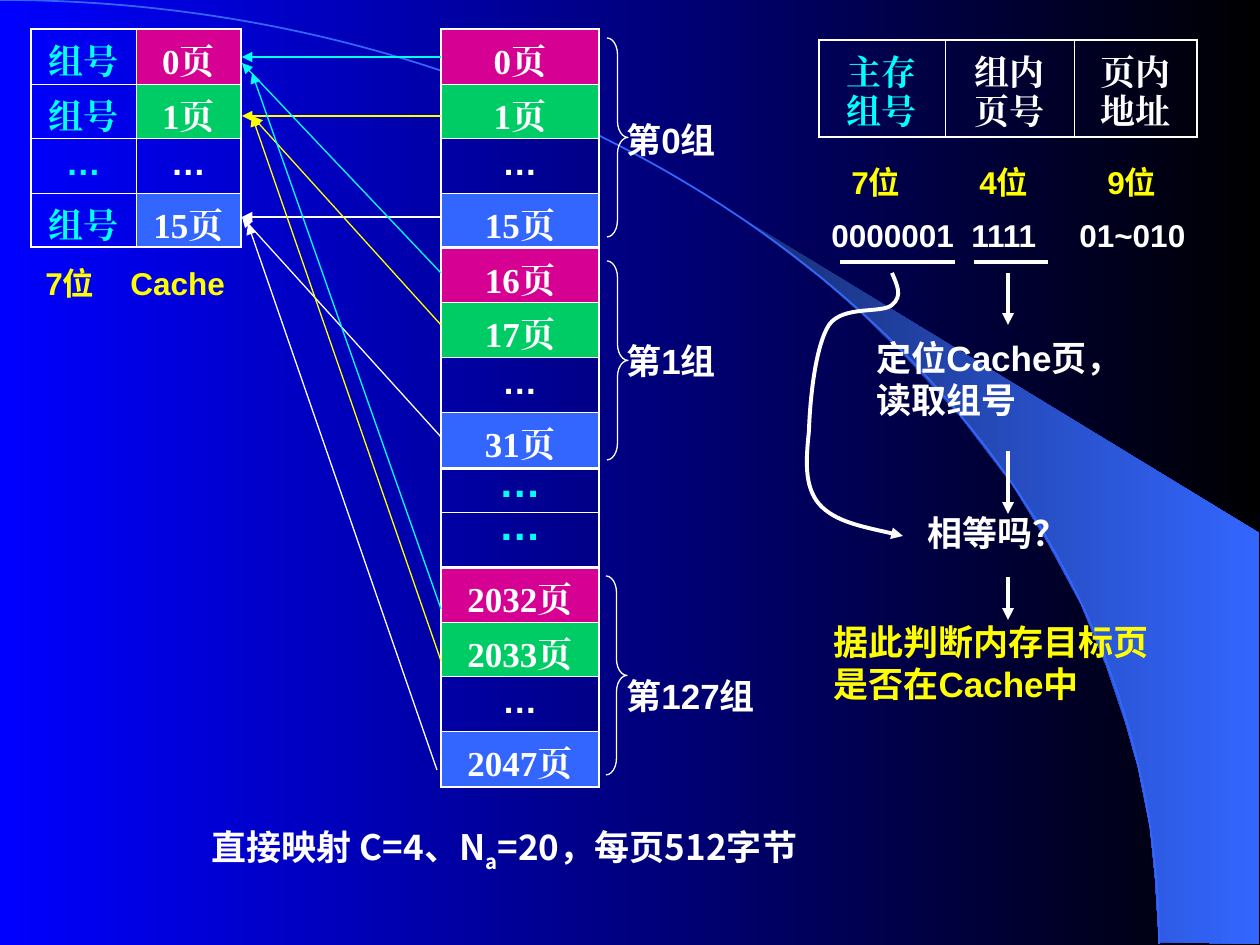
from dataclasses import dataclass

import lxml.etree
import pptx
import pptx.dml.color
import pptx.enum.shapes
import pptx.enum.text
import pptx.oxml.ns
import pptx.util

SCALE = 914400 / 126
ALIGN = pptx.enum.text.PP_ALIGN
WHITE, CYAN, YELLOW = "FFFFFF", "00FFFF", "FFFF00"
MAGENTA, GREEN, BLUE = "D60093", "00CC66", "3366FF"
SERIF, SANS, CJK = "Times New Roman", "Arial", "Noto Sans CJK SC"
THIN, OUTER, BOLD_LINE = 0.45, 1.08, 2.25


@dataclass
class Entry:
    """One table cell."""
    text: str
    color: str = WHITE
    fill: str | None = None
    font: str = SERIF
    inset: int = 14
    size: int = 20
    spacing: float = 1.0


@dataclass
class Label:
    text: str
    box: tuple[int, int, int, int]
    size: int = 20
    color: str = WHITE
    wrap: bool = True
    tabs: tuple[int, ...] = ()


@dataclass
class Link:
    start: tuple[int, int]
    end: tuple[int, int]
    color: str = WHITE
    width: float = 0.75
    arrow: bool = True


def px(length: float) -> int:
    return round(length * SCALE)


def rgb(color: str) -> pptx.dml.color.RGBColor:
    return pptx.dml.color.RGBColor.from_string(color)


def add_xml(parent, tag: str, **attributes: str):
    return lxml.etree.SubElement(parent, pptx.oxml.ns.qn(tag), attributes)


def write(frame, *pieces: str, size: int = 20, color: str = WHITE, font: str = SANS,
          align=ALIGN.LEFT, spacing: float = 1.0, tabs: tuple[int, ...] = ()) -> None:
    """Write one paragraph; every second piece is a subscript."""
    paragraph = frame.paragraphs[0]
    paragraph.alignment = align
    paragraph.line_spacing = spacing
    if tabs:
        stops = add_xml(paragraph._p.get_or_add_pPr(), "a:tabLst")
        for stop in tabs:
            add_xml(stops, "a:tab", pos=str(px(stop)), algn="l")
    for index, piece in enumerate(pieces):
        run = paragraph.add_run()
        run.text = piece
        run.font.size = pptx.util.Pt(size)
        run.font.bold = True
        run.font.color.rgb = rgb(color)
        run.font.name = font
        properties = run.font._element
        add_xml(properties, "a:ea", typeface=font)
        if index % 2:
            properties.set("baseline", "-25000")


def style_line(line, color: str, width: float, arrow: bool = False) -> None:
    line.color.rgb = rgb(color)
    line.width = pptx.util.Pt(width)
    if arrow:
        add_xml(line._get_or_add_ln(), "a:tailEnd", type="triangle")


def add_link(shapes, link: Link) -> None:
    connector = shapes.add_connector(pptx.enum.shapes.MSO_CONNECTOR.STRAIGHT,
                                     *map(px, link.start + link.end))
    style_line(connector.line, link.color, link.width, link.arrow)
    add_xml(connector._element.spPr, "a:effectLst")


def add_label(shapes, label: Label) -> None:
    frame = shapes.add_textbox(*map(px, label.box)).text_frame
    frame.word_wrap = label.wrap
    write(frame, label.text, size=label.size, color=label.color, tabs=label.tabs)


def add_outline(shapes, points: list[tuple[int, int]], closed: bool = False):
    builder = shapes.build_freeform(*points[0], scale=SCALE)
    builder.add_line_segments(points[1:], close=closed)
    shape = builder.convert_to_shape()
    shape.shadow.inherit = False
    return shape


def add_curve(shapes, points: list[tuple[int, int]], color: str, width: float,
              arrow: bool = False) -> None:
    """Draw cubic curves: a start point, then three points for each curve."""
    shape = add_outline(shapes, points)
    shape.fill.background()
    style_line(shape.line, color, width, arrow)
    segments = shape._element.findall(".//" + pptx.oxml.ns.qn("a:lnTo"))
    outline = segments[0].getparent()
    for first in range(0, len(segments), 3):
        curve = add_xml(outline, "a:cubicBezTo")
        for segment in segments[first:first + 3]:
            curve.append(segment[0])
            outline.remove(segment)


def add_gradient(fill, start: str, end: str) -> None:
    fill.gradient()
    fill.gradient_angle = 0
    for stop, color, position in zip(fill.gradient_stops, (start, end), (0, 1)):
        stop.color.rgb = rgb(color)
        stop.position = position


def set_borders(cell, edges: dict[str, bool]) -> None:
    properties = cell._tc.get_or_add_tcPr()
    for index, (side, is_outer) in enumerate(edges.items()):
        width = pptx.util.Pt(OUTER if is_outer else THIN)
        border = add_xml(properties, f"a:ln{side}", w=str(int(width)))
        add_xml(add_xml(border, "a:solidFill"), "a:srgbClr", val=WHITE)
        properties.insert(index, border)


def add_grid(shapes, left: int, top: int, widths: list[int], heights: list[int],
             entries: list[list[Entry]]) -> None:
    table = shapes.add_table(len(heights), len(widths), px(left), px(top),
                             px(sum(widths)), px(sum(heights))).table
    table.first_row = table.horz_banding = False
    for column, width in zip(table.columns, widths):
        column.width = px(width)
    for r, (height, line) in enumerate(zip(heights, entries)):
        table.rows[r].height = px(height)
        for c, entry in enumerate(line):
            cell = table.cell(r, c)
            cell.margin_top, cell.margin_bottom = px(entry.inset), 0
            write(cell.text_frame, entry.text, size=entry.size, color=entry.color,
                  font=entry.font, align=ALIGN.CENTER, spacing=entry.spacing)
            if entry.fill:
                cell.fill.solid()
                cell.fill.fore_color.rgb = rgb(entry.fill)
            else:
                cell.fill.background()
            set_borders(cell, {"L": c == 0, "R": c == len(widths) - 1,
                               "T": r == 0, "B": r == len(heights) - 1})


def page_entries(first: int, second: int, last: int) -> list[Entry]:
    return [Entry(f"{first}页", fill=MAGENTA), Entry(f"{second}页", fill=GREEN),
            Entry("…", font=SANS, inset=6), Entry(f"{last}页", fill=BLUE)]


def add_backdrop(slide) -> None:
    add_gradient(slide.background.fill, "0000FF", "000000")
    beam = add_outline(slide.shapes, [
        (1159, 942), (1259, 944), (1259, 533), (742, 218), (786, 251), (823, 280),
        (863, 315), (902, 353), (960, 416), (1012, 484), (1048, 543), (1081, 604),
        (1106, 665), (1125, 721), (1138, 767), (1150, 827), (1155, 877)], closed=True)
    add_gradient(beam.fill, "182F76", BLUE)
    beam.line.fill.background()
    add_curve(slide.shapes, [(0, 0), (640, 0), (1159, 422), (1159, 944)], BLUE, 1)


def main() -> None:
    deck = pptx.Presentation()
    deck.slide_width, deck.slide_height = px(1260), px(945)
    slide = deck.slides.add_slide(deck.slide_layouts[5])
    shapes = slide.shapes
    add_backdrop(slide)

    caption = shapes.title
    caption.left, caption.top, caption.width, caption.height = map(px, (199, 819, 861, 60))
    caption.text_frame.vertical_anchor = pptx.enum.text.MSO_ANCHOR.TOP
    caption.text_frame.auto_size = pptx.enum.text.MSO_AUTO_SIZE.NONE
    write(caption.text_frame, "直接映射 C=4、N", "a", "=20，每页512字节", font=CJK)

    tags = [Entry("组号", CYAN), Entry("组号", CYAN),
            Entry("…", CYAN, font=SANS, inset=6), Entry("组号", CYAN)]
    cache = [list(pair) for pair in zip(tags, page_entries(0, 1, 15))]
    add_grid(shapes, 31, 29, [105, 105], [55, 54, 55, 54], cache)
    for top, pages, heights in ((29, (0, 1, 15), [55, 54, 55, 54]),
                                (248, (16, 17, 31), [54, 55, 55, 56]),
                                (567, (2032, 2033, 2047), [55, 54, 55, 56])):
        add_grid(shapes, 441, top, [158], heights, [[e] for e in page_entries(*pages)])
    skipped = Entry("…", CYAN, font=SANS, inset=6, size=24, spacing=0.6)
    add_grid(shapes, 441, 469, [158], [43, 56], [[skipped], [skipped]])
    add_grid(shapes, 819, 40, [126, 129, 123], [97],
             [[Entry("主存组号", CYAN), Entry("组内页号"), Entry("页内地址")]])

    for left, top in ((607, 38), (607, 261), (606, 576)):
        brace = shapes.add_shape(pptx.enum.shapes.MSO_SHAPE.RIGHT_BRACE,
                                 *map(px, (left, top, 21, 199)))
        brace.adjustments[0] = 0.79
        brace.shadow.inherit = False
        brace.fill.background()
        style_line(brace.line, WHITE, 0.75)

    for label in (
            Label("第0组", (614, 112, 131, 55), wrap=False),
            Label("第1组", (614, 333, 131, 55), wrap=False),
            Label("第127组", (614, 668, 170, 55), wrap=False),
            Label("7位\tCache", (33, 258, 239, 50), 18, YELLOW, tabs=(85,)),
            Label("7位\t4位\t9位", (839, 157, 348, 50), 18, YELLOW, tabs=(128, 256)),
            Label("0000001\t1111\t01~010", (819, 210, 388, 50), 18, tabs=(140, 248)),
            Label("定位Cache页，读取组号", (864, 330, 290, 97)),
            Label("相等吗？", (915, 505, 261, 55)),
            Label("据此判断内存目标页是否在Cache中", (821, 614, 372, 97), color=YELLOW)):
        add_label(shapes, label)

    for link in (
            Link((441, 57), (242, 57), CYAN), Link((441, 116), (242, 116), YELLOW),
            Link((441, 217), (242, 217)), Link((441, 273), (242, 63), CYAN),
            Link((441, 325), (252, 116), YELLOW), Link((441, 437), (242, 217)),
            Link((441, 609), (252, 73), CYAN), Link((441, 661), (252, 116), YELLOW),
            Link((437, 770), (248, 224)),
            Link((840, 262), (955, 262), width=BOLD_LINE, arrow=False),
            Link((974, 262), (1048, 262), width=BOLD_LINE, arrow=False),
            *(Link((1008, top), (1008, bottom), width=BOLD_LINE)
              for top, bottom in ((273, 325), (451, 514), (577, 620)))):
        add_link(shapes, link)
    add_curve(shapes, [(892, 273), (897, 285), (903, 296), (892, 305),
                       (882, 314), (843, 305), (829, 325), (815, 347), (810, 401), (809, 431),
                       (806, 460), (804, 486), (819, 504), (835, 522), (869, 528), (903, 536)],
              WHITE, BOLD_LINE, arrow=True)
    deck.save("out.pptx")


if __name__ == "__main__":
    main()
